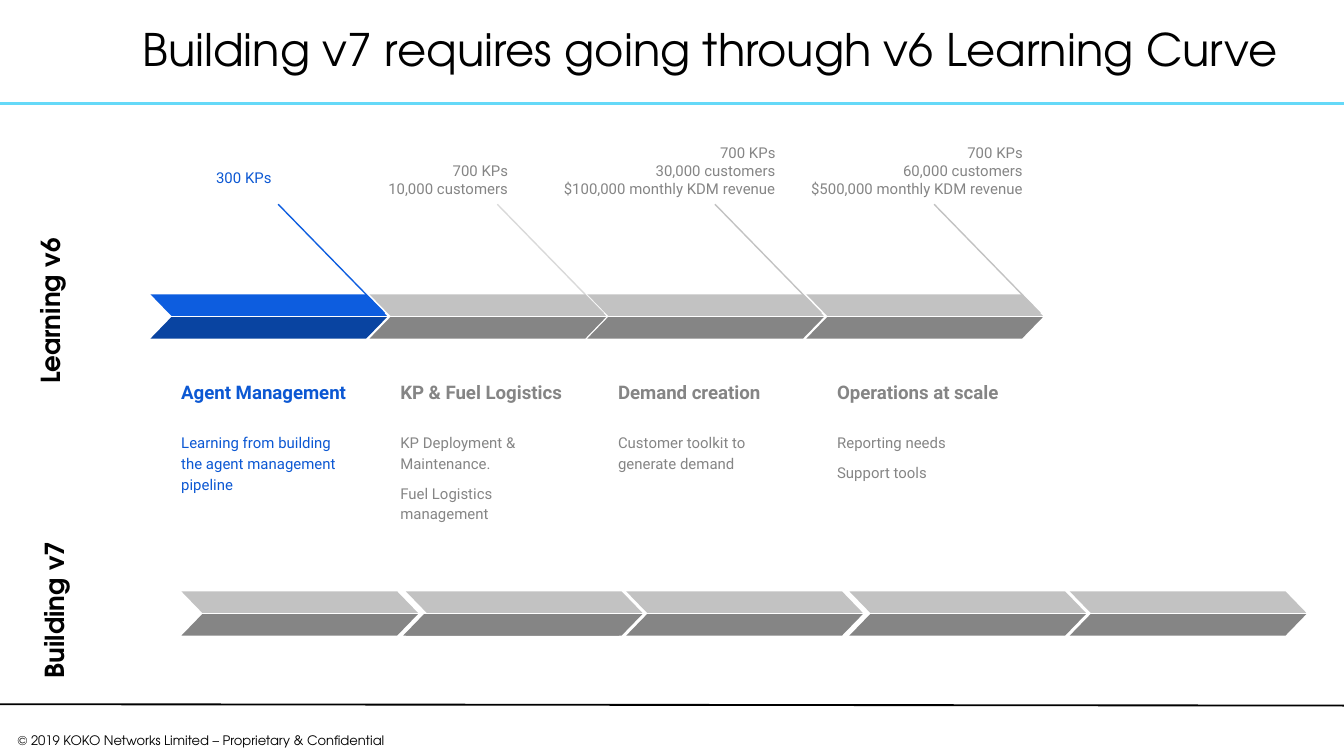
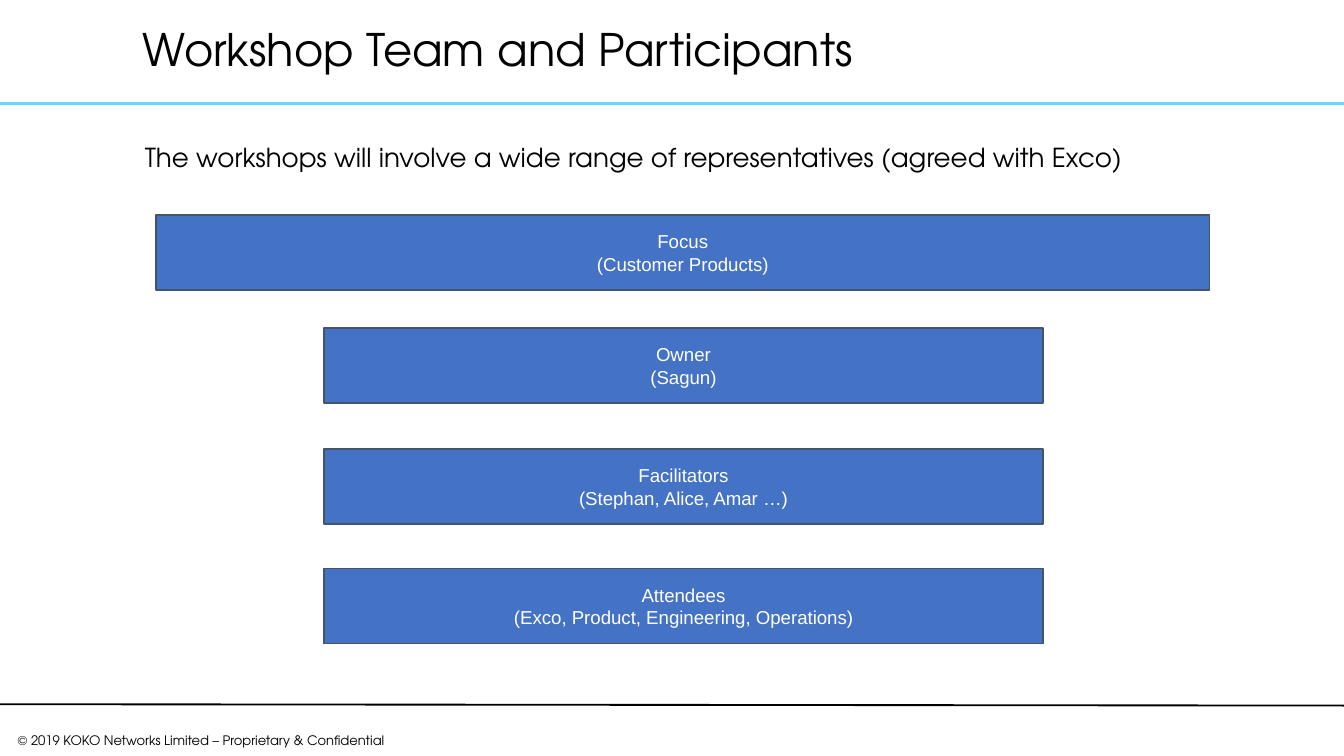
from lxml import etree
from pptx import Presentation
from pptx import util as u
from pptx.dml import color
from pptx.enum import shapes, text
from pptx.oxml import ns

HEX = {
    "black": "000000", "white": "FFFFFF", "sky": "65D9F8",
    "blue": "0D5DDF", "navy": "0944A1", "ink": "0C58D3",
    "gray": "858585", "silver": "C2C2C2", "pale": "D9D9D9",
    "box": "4472C4", "edge": "44546A",
}
HEAD, BODY, PLAIN = "TeX Gyre Adventor", "Roboto", "Arial"
ALIGN = {"l": text.PP_ALIGN.LEFT, "c": text.PP_ALIGN.CENTER,
         "r": text.PP_ALIGN.RIGHT}
ANCHOR = {"t": text.MSO_ANCHOR.TOP, "m": text.MSO_ANCHOR.MIDDLE,
          "b": text.MSO_ANCHOR.BOTTOM}
BAR_W, BAR_H, ROW = 1.76, 0.16, 0.17


def rgb(name):
    return color.RGBColor.from_string(HEX[name])


def write(frame, lines, size=8, font=BODY, hue="gray", bold=False,
          align="l", anchor="t", pad=(0.1, 0.1), lead=None, gap=0):
    """Fill a text frame with one paragraph per line."""
    frame.word_wrap = True
    frame.vertical_anchor = ANCHOR[anchor]
    frame.margin_left = frame.margin_right = u.Inches(pad[0])
    frame.margin_top = frame.margin_bottom = u.Inches(pad[1])
    for i, line in enumerate(lines):
        par = frame.add_paragraph() if i else frame.paragraphs[0]
        par.alignment = ALIGN[align]
        if lead:
            par.line_spacing = lead
        if i and gap:
            par.space_before = u.Pt(gap)
        run = par.add_run()
        run.text = line
        run.font.size, run.font.name = u.Pt(size), font
        run.font.bold = bold
        run.font.color.rgb = rgb(hue)


class Deck:
    def __init__(self):
        self.prs = Presentation()
        # Widescreen, 16:9
        self.prs.slide_width = u.Inches(10)
        self.prs.slide_height = u.Inches(10) * 9 // 16
        self.page = None

    def start(self, title):
        """Add a slide with the shared rules, footer and title."""
        self.page = self.prs.slides.add_slide(self.prs.slide_layouts[6])
        self.line(0, 0.77, 10, 0.77, "sky", 1.5)
        self.line(0, 5.24, 10, 5.25, "black", 1)
        self.label(0, 5.41, 2.99, 0.21,
                   ["© 2019 KOKO Networks Limited – Proprietary & Confidential"],
                   size=7, font=HEAD, hue="black", align="c", pad=(0.07, 0.04))
        self.label(0.99, 0.07, 8.64, 0.64, [title], size=24, font=HEAD,
                   hue="black", anchor="m", pad=(0.07, 0.04), lead=0.9)

    def line(self, x1, y1, x2, y2, hue, width=0.75):
        line = self.page.shapes.add_connector(
            shapes.MSO_CONNECTOR.STRAIGHT, u.Inches(x1), u.Inches(y1),
            u.Inches(x2), u.Inches(y2))
        line.line.color.rgb = rgb(hue)
        line.line.width = u.Pt(width)
        etree.SubElement(line._element.spPr, ns.qn("a:effectLst"))

    def label(self, x, y, w, h, lines, turn=0, **style):
        box = self.page.shapes.add_textbox(
            u.Inches(x), u.Inches(y), u.Inches(w), u.Inches(h))
        box.rotation = turn
        write(box.text_frame, lines, **style)

    def shape(self, kind, x, y, w, h, fill, edge=None):
        item = self.page.shapes.add_shape(
            kind, u.Inches(x), u.Inches(y), u.Inches(w), u.Inches(h))
        item.shadow.inherit = False
        item.fill.solid()
        item.fill.fore_color.rgb = rgb(fill)
        if edge:
            item.line.color.rgb = rgb(edge)
            item.line.width = u.Pt(0.75)
        else:
            item.line.fill.background()
        return item

    def bar(self, x, y, fill, flip=False):
        item = self.shape(shapes.MSO_SHAPE.PARALLELOGRAM,
                          x, y, BAR_W, BAR_H, fill)
        item.adjustments[0] = 0.97
        if flip:
            item._element.spPr.xfrm.set("flipH", "1")

    def arrow(self, x, y, top="silver", low="gray"):
        """Draw a chevron from two mirrored bars."""
        self.bar(x, y, top, flip=True)
        self.bar(x, y + ROW, low)

    def panel(self, x, y, w, lines):
        item = self.shape(shapes.MSO_SHAPE.RECTANGLE, x, y, w, 0.56,
                          "box", "edge")
        write(item.text_frame, lines, size=10, font=PLAIN, hue="white",
              align="c", anchor="m")


# left, heading, details, pointer colour, callout (left, top, width, lines)
STEPS = [
    (1.12, "Agent Management",
     ["Learning from building the agent management pipeline"], "blue",
     (1.44, 1.16, 0.68, ["300 KPs"])),
    (2.75, "KP & Fuel Logistics",
     ["KP Deployment & Maintenance.", "Fuel Logistics management"], "pale",
     (2.43, 1.1, 1.45, ["700 KPs", "10,000 customers"])),
    (4.37, "Demand creation", ["Customer toolkit to generate demand"], "silver",
     (3.66, 0.97, 2.21,
      ["700 KPs", "30,000 customers", "$100,000 monthly KDM revenue"])),
    (6, "Operations at scale", ["Reporting needs", "Support tools"], "silver",
     (5.5, 0.97, 2.21,
      ["700 KPs", "60,000 customers", "$500,000 monthly KDM revenue"])),
]
BUILD = [1.35, 3.02, 4.66, 6.32, 7.96]
TEAM = [
    (1.16, 1.6, 7.84, ["Focus", "(Customer Products)"]),
    (2.41, 2.44, 5.35, ["Owner", "(Sagun)"]),
    (2.41, 3.34, 5.35, ["Facilitators", "(Stephan, Alice, Amar …)"]),
    (2.41, 4.23, 5.35, ["Attendees", "(Exco, Product, Engineering, Operations)"]),
]


def curve(deck):
    deck.start("Building v7 requires going through v6 Learning Curve")
    # Learning steps, the first one highlighted
    for i, (x, head, notes, rule, (cx, cy, cw, call)) in enumerate(STEPS):
        hue = "gray" if i else "ink"
        deck.line(x + 0.95, 1.52, x + 1.74, 2.33, rule)
        if i:
            deck.arrow(x, 2.19)
        else:
            deck.arrow(x, 2.19, "blue", "navy")
        deck.label(x + 0.13, 2.61, 1.45, 0.49, [head], size=10, hue=hue,
                   bold=True, anchor="b", lead=1.15)
        deck.label(x + 0.13, 3.11, 1.45, 0.81, notes, hue=hue,
                   lead=1.15, gap=5)
        deck.label(cx, cy, cw, 0.64 if i else 0.26, call, hue=hue, align="r",
                   lead=None if i else 1.15)
    # Build track
    deck.bar(3, 4.4 + ROW, "gray")
    for x in BUILD:
        deck.arrow(x, 4.4)
    # Track names
    for x, y, name in [(-0.52, 1.87, "Learning v6"), (-0.49, 4.06, "Building v7")]:
        deck.label(x, y, BAR_W, 0.41, [name], turn=270, size=14, font=HEAD,
                   hue="black", bold=True)


def team(deck):
    deck.start("Workshop Team and Participants")
    for row in TEAM:
        deck.panel(*row)
    deck.label(0.98, 0.95, 7.9, 0.5,
               ["The workshops will involve a wide range of representatives "
                "(agreed with Exco)"], size=14, font=HEAD, hue="black")


def main():
    deck = Deck()
    curve(deck)
    team(deck)
    deck.prs.save("out.pptx")


if __name__ == "__main__":
    main()
